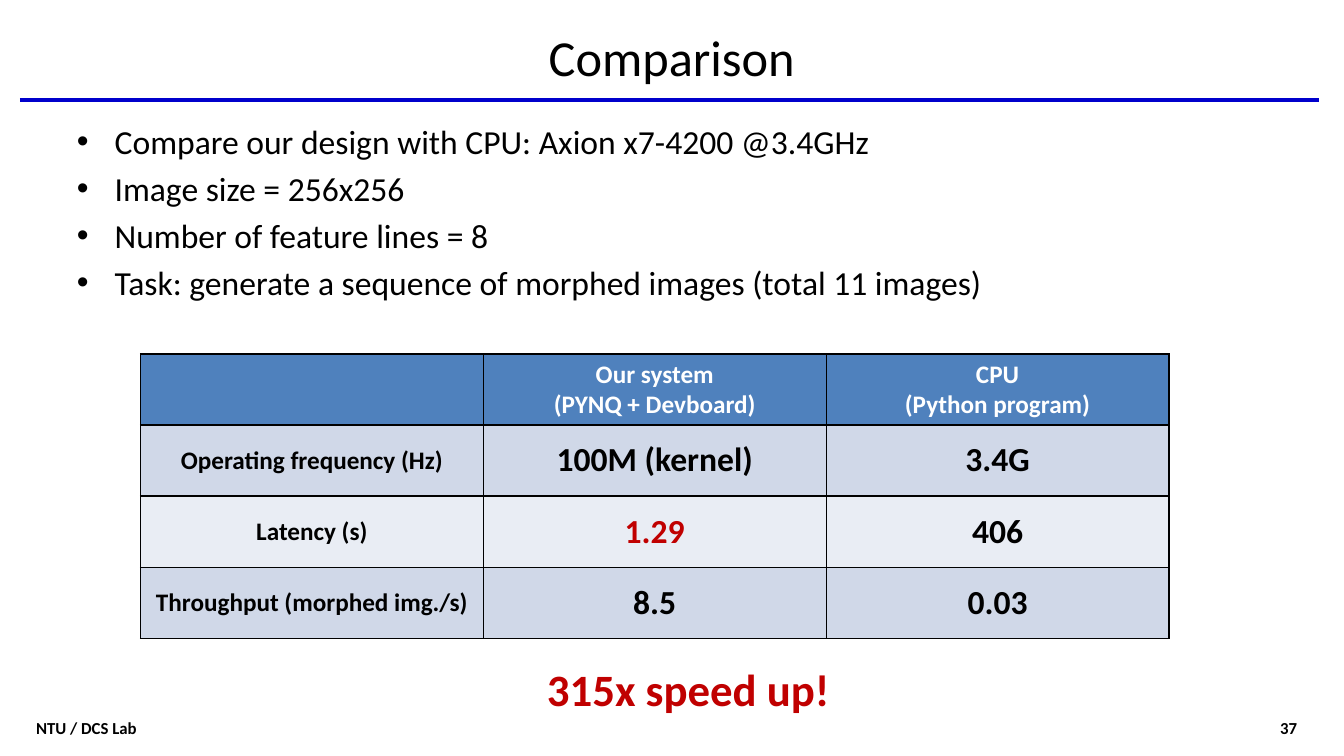
from lxml.etree import SubElement
from pptx import Presentation
from pptx.dml.color import RGBColor
from pptx.enum.shapes import MSO_CONNECTOR
from pptx.enum.text import MSO_ANCHOR, PP_ALIGN
from pptx.oxml.ns import qn
from pptx.util import Cm, Pt

BLACK = RGBColor(0x00, 0x00, 0x00)
WHITE = RGBColor(0xFF, 0xFF, 0xFF)
RULE_BLUE = RGBColor(0x00, 0x00, 0xCC)
HEADER_BLUE = RGBColor(0x4F, 0x81, 0xBD)
BAND_DARK = RGBColor(0xD0, 0xD8, 0xE8)
BAND_LIGHT = RGBColor(0xE9, 0xED, 0xF4)
RED = RGBColor(0xC0, 0x00, 0x00)


def write_lines(frame, lines, alignment, size, color, bold, bullet=False):
    frame.word_wrap = True
    for index, line in enumerate(lines):
        paragraph = frame.paragraphs[0] if index == 0 else frame.add_paragraph()
        paragraph.text = line
        paragraph.alignment = alignment
        if bullet:
            properties = paragraph._p.get_or_add_pPr()
            properties.set("marL", str(Cm(0.95)))
            properties.set("indent", str(-Cm(0.95)))
            SubElement(properties, qn("a:buFont"), typeface="Arial")
            SubElement(properties, qn("a:buChar"), char="•")
            if index > 0:
                paragraph.space_before = Pt(4.8)
        font_format = {"name": "Calibri", "size": Pt(size), "bold": bold}
        for name, value in font_format.items():
            setattr(paragraph.font, name, value)
        paragraph.font.color.rgb = color


def add_text(left, top, width, height, anchor, *text_format, **options):
    shape = slide.shapes.add_textbox(Cm(left), Cm(top), Cm(width), Cm(height))
    shape.text_frame.vertical_anchor = anchor
    write_lines(shape.text_frame, *text_format, **options)


presentation = Presentation()
presentation.slide_width = Cm(33.87)
presentation.slide_height = Cm(19.05)
slide = presentation.slides.add_slide(presentation.slide_layouts[6])

# Rule under the title
rule = slide.shapes.add_connector(
    MSO_CONNECTOR.STRAIGHT, Cm(0.5), Cm(2.52), Cm(33.25), Cm(2.52))
rule.line.color.rgb = RULE_BLUE
rule.line.width = Pt(3)
SubElement(rule._element.spPr, qn("a:effectLst"))

# Title and footer
add_text(1.69, 0.53, 30.48, 1.8, MSO_ANCHOR.MIDDLE,
         ["Comparison"], PP_ALIGN.CENTER, 36, BLACK, False)
add_text(0.66, 17.65, 10.72, 1.4, MSO_ANCHOR.MIDDLE,
         ["NTU / DCS Lab"], PP_ALIGN.LEFT, 12, BLACK, True)
add_text(24.28, 17.65, 8.66, 1.4, MSO_ANCHOR.MIDDLE,
         ["37"], PP_ALIGN.RIGHT, 12, BLACK, True)

# Test conditions
conditions = [
    "Compare our design with CPU: Axion x7-4200 @3.4GHz",
    "Image size = 256x256",
    "Number of feature lines = 8",
    "Task: generate a sequence of morphed images (total 11 images)",
]
add_text(1.69, 2.92, 30.48, 14.81, MSO_ANCHOR.TOP,
         conditions, PP_ALIGN.LEFT, 24, BLACK, False, bullet=True)

# Comparison table
rows = [
    ["", "Our system\n(PYNQ + Devboard)", "CPU\n(Python program)"],
    ["Operating frequency (Hz)", "100M (kernel)", "3.4G"],
    ["Latency (s)", "1.29", "406"],
    ["Throughput (morphed img./s)", "8.5", "0.03"],
]
row_fills = [HEADER_BLUE, BAND_DARK, BAND_LIGHT, BAND_DARK]
table = slide.shapes.add_table(
    len(rows), 3, Cm(3.54), Cm(8.92), Cm(25.92), Cm(7.16)).table
for row_index, (row, fill) in enumerate(zip(rows, row_fills)):
    for column_index, text in enumerate(row):
        cell = table.cell(row_index, column_index)
        cell.vertical_anchor = MSO_ANCHOR.MIDDLE
        is_value = row_index > 0 and column_index > 0
        color = WHITE if row_index == 0 else RED if text == "1.29" else BLACK
        write_lines(cell.text_frame, text.split("\n"), PP_ALIGN.CENTER,
                    24 if is_value else 18, color, True)
        properties = cell._tc.get_or_add_tcPr()
        for side in ("lnL", "lnR", "lnT", "lnB"):
            border = SubElement(properties, qn(f"a:{side}"), w=str(Pt(1)))
            border_fill = SubElement(border, qn("a:solidFill"))
            SubElement(border_fill, qn("a:srgbClr"), val=str(BLACK))
        cell.fill.solid()
        cell.fill.fore_color.rgb = fill

# Conclusion
add_text(10.95, 16.54, 12.8, 1.62, MSO_ANCHOR.MIDDLE,
         ["315x speed up!"], PP_ALIGN.CENTER, 32, RED, True)

presentation.save("out.pptx")
